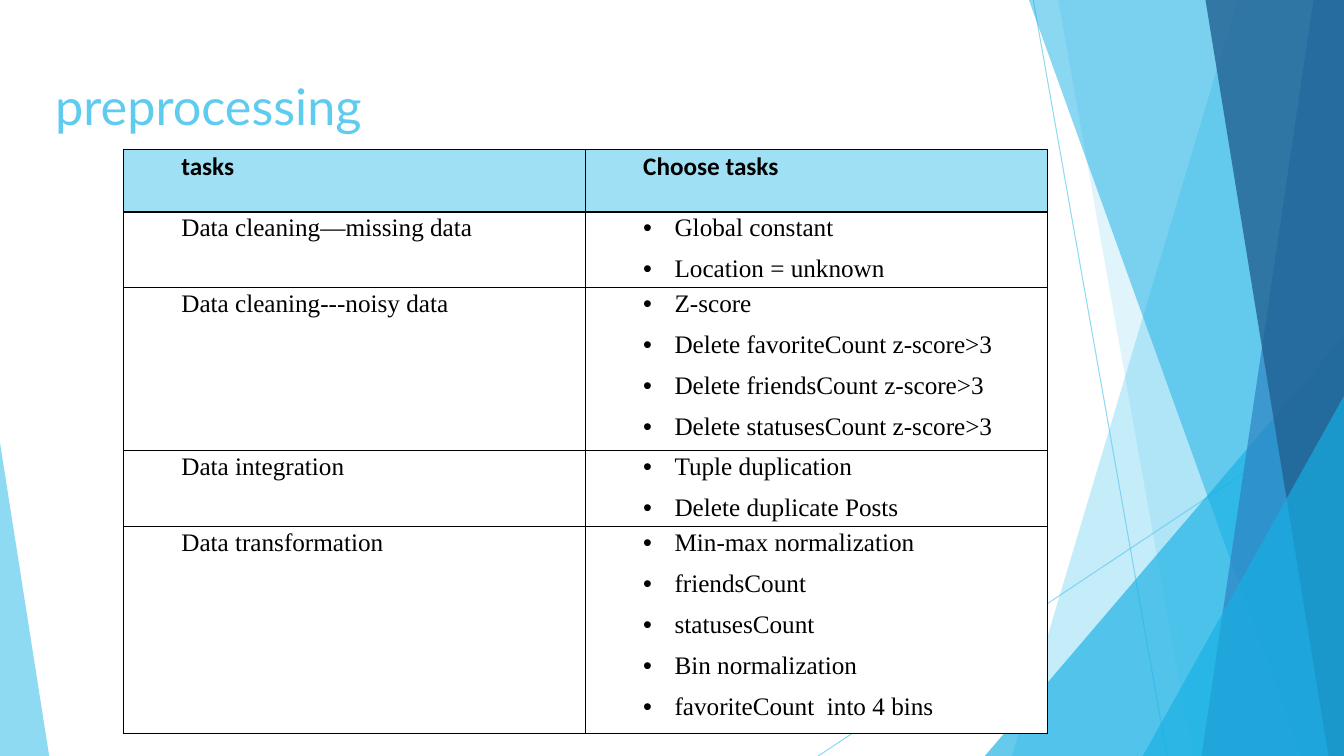
from dataclasses import dataclass

from lxml import etree
from pptx import Presentation
from pptx import util as u
from pptx.dml.color import RGBColor
from pptx.enum import shapes, text
from pptx.oxml import ns


@dataclass(frozen=True)
class Theme:
    sky: str = "5FCBEF"
    cyan: str = "17B0E4"
    blue: str = "2E83C3"
    navy: str = "226292"
    header: str = "9FE0F5"
    white: str = "FFFFFF"
    black: str = "000000"
    title_font: str = "Lato"
    header_font: str = "Calibri"
    body_font: str = "Times New Roman"
    title_size: int = 36
    body_size: int = 18


theme = Theme()


def set_text(frame, lines, font, size, color, bold=False, left=0, hanging=0,
             spacing=None, after=0, bullet=None):
    """Fill a text frame with one paragraph per line; indents are in cm."""
    frame.word_wrap = True
    for index, line in enumerate(lines):
        paragraph = frame.paragraphs[0] if index == 0 else frame.add_paragraph()
        paragraph.alignment = text.PP_ALIGN.LEFT
        paragraph.line_spacing = spacing
        paragraph.space_after = u.Pt(after)
        properties = paragraph._p.get_or_add_pPr()
        properties.set("marL", str(u.Cm(left)))
        properties.set("indent", str(u.Cm(-hanging)))
        if bullet:
            etree.SubElement(properties, ns.qn("a:buFont"), typeface="Arial")
            etree.SubElement(properties, ns.qn("a:buChar"), char=bullet)
        run = paragraph.add_run()
        run.text = line
        run.font.name = font
        run.font.size = u.Pt(size)
        run.font.bold = bold
        run.font.color.rgb = RGBColor.from_string(color)


def set_alpha(fill_or_line_element, percent):
    color = fill_or_line_element.find(".//" + ns.qn("a:srgbClr"))
    etree.SubElement(color, ns.qn("a:alpha"), val=str(percent * 1000))


presentation = Presentation()
presentation.slide_width = u.Cm(33.87)
presentation.slide_height = u.Cm(19.05)
slide = presentation.slides.add_slide(presentation.slide_layouts[6])
right, bottom = presentation.slide_width, presentation.slide_height

# Thin rays behind the bands
for x1, y1, x2, y2 in [(26.04, 0, 29.41, 19.05), (33.87, 10.24, 20.62, 19.05)]:
    ray = slide.shapes.add_connector(
        shapes.MSO_CONNECTOR.STRAIGHT, u.Cm(x1), u.Cm(y1), u.Cm(x2), u.Cm(y2))
    ray.line.color.rgb = RGBColor.from_string(theme.sky)
    ray.line.width = u.Pt(0.75)
    ray_properties = ray._element.spPr
    set_alpha(ray_properties, 70)
    etree.SubElement(ray_properties, ns.qn("a:effectLst"))

# Bands: (x at top, x at bottom), reaching the right edge of the slide
# Triangles: (left, top, width, apex), standing on the bottom of the slide
decorations = [
    ((31.19, 25.5), theme.sky, 36),
    ((26.67, 30.05), theme.sky, 20),
    ((24.82, 8.46, 9.05, 1), theme.cyan, 66),
    ((25.93, 32.79), theme.cyan, 50),
    ((33.1, 30.28), theme.blue, 70),
    ((30.38, 33.48), theme.navy, 80),
    ((28.8, 9.98, 5.07, 1), theme.cyan, 66),
    ((0, 11.15, 1.24, 0), theme.sky, 70),
]
for geometry, color, opacity in decorations:
    if len(geometry) == 2:
        top_x, bottom_x = map(u.Cm, geometry)
        outline = slide.shapes.build_freeform(top_x, 0)
        outline.add_line_segments([(right, 0), (right, bottom), (bottom_x, bottom)])
        shape = outline.convert_to_shape()
    else:
        left, top, width = map(u.Cm, geometry[:3])
        shape = slide.shapes.add_shape(
            shapes.MSO_SHAPE.ISOSCELES_TRIANGLE, left, top, width, bottom - top)
        shape.adjustments[0] = geometry[3]
    shape.shadow.inherit = False
    shape.line.fill.background()
    shape.fill.solid()
    shape.fill.fore_color.rgb = RGBColor.from_string(color)
    set_alpha(shape._element.spPr, opacity)

title = slide.shapes.add_textbox(u.Cm(1.14), u.Cm(1.6), u.Cm(32.46), u.Cm(2.13))
title.text_frame.vertical_anchor = text.MSO_ANCHOR.MIDDLE
set_text(title.text_frame, ["preprocessing"], theme.title_font, theme.title_size, theme.sky)

task_rows = [
    ("tasks", ["Choose tasks"]),
    ("Data cleaning—missing data", ["Global constant", "Location = unknown"]),
    ("Data cleaning---noisy data", [
        "Z-score", "Delete favoriteCount z-score>3",
        "Delete friendsCount z-score>3", "Delete statusesCount z-score>3"]),
    ("Data integration", ["Tuple duplication", "Delete duplicate Posts"]),
    ("Data transformation", [
        "Min-max normalization", "friendsCount", "statusesCount",
        "Bin normalization", "favoriteCount  into 4 bins"]),
]
# Body rows grow from this minimum to fit their text
header_height, body_height = 1.57, 1.5
table_height = header_height + body_height * (len(task_rows) - 1)
table = slide.shapes.add_table(
    len(task_rows), 2, u.Cm(3.12), u.Cm(3.77), u.Cm(23.28), u.Cm(table_height)).table
table.first_row = False
table.horz_banding = False

for row_index, (task, choices) in enumerate(task_rows):
    is_header = row_index == 0
    table.rows[row_index].height = u.Cm(header_height if is_header else body_height)
    for column_index, lines in enumerate([[task], choices]):
        cell = table.cell(row_index, column_index)
        cell.margin_left = cell.margin_right = u.Cm(0.18)
        cell.margin_top = cell.margin_bottom = 0
        cell_properties = cell._tc.get_or_add_tcPr()
        for side in ("lnL", "lnR", "lnT", "lnB"):
            border = etree.SubElement(cell_properties, ns.qn("a:" + side), w=str(u.Pt(1)))
            border_fill = etree.SubElement(border, ns.qn("a:solidFill"))
            etree.SubElement(border_fill, ns.qn("a:srgbClr"), val=theme.black)
        cell.fill.solid()
        cell.fill.fore_color.rgb = RGBColor.from_string(
            theme.header if is_header else theme.white)
        bulleted = column_index == 1 and not is_header
        set_text(
            cell.text_frame, lines,
            theme.header_font if is_header else theme.body_font,
            theme.body_size, theme.black, bold=is_header,
            left=2.06 if bulleted else 1.27, hanging=0.79 if bulleted else 0,
            spacing=1.07, after=8, bullet="•" if bulleted else None)

presentation.save("out.pptx")
